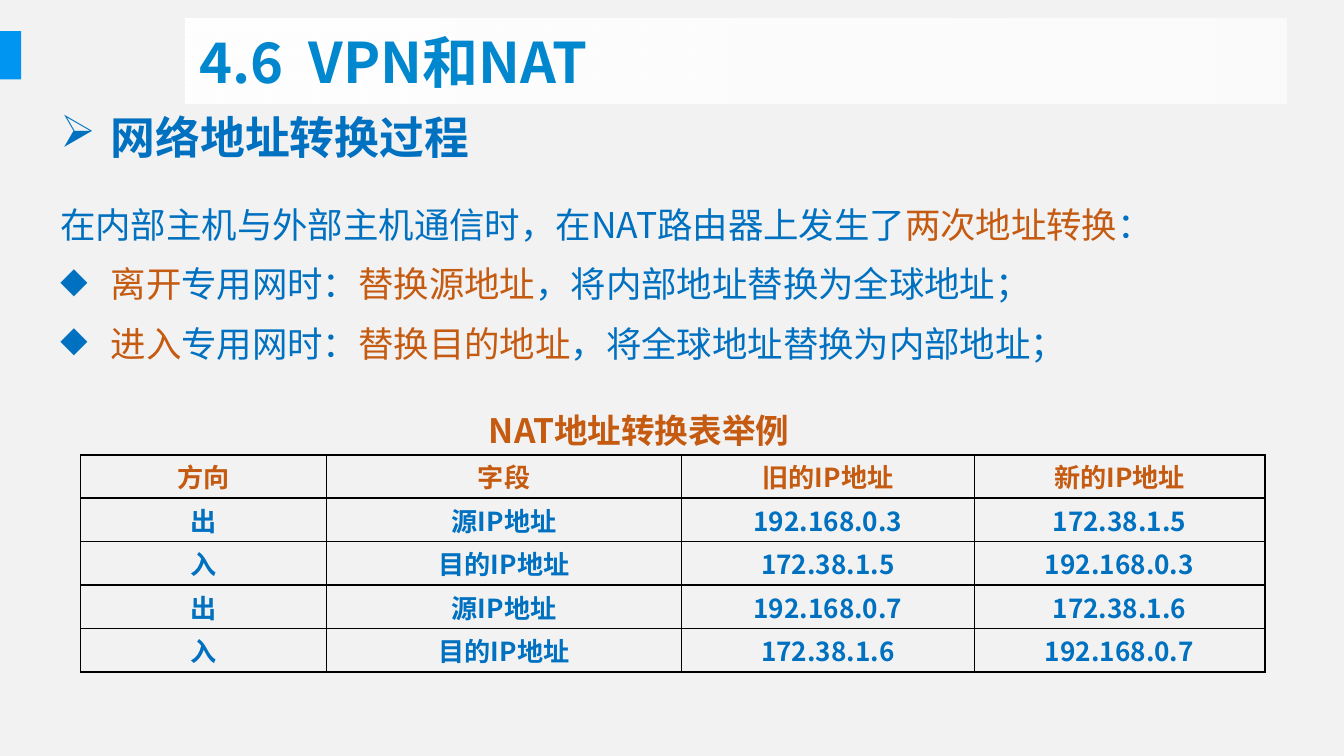
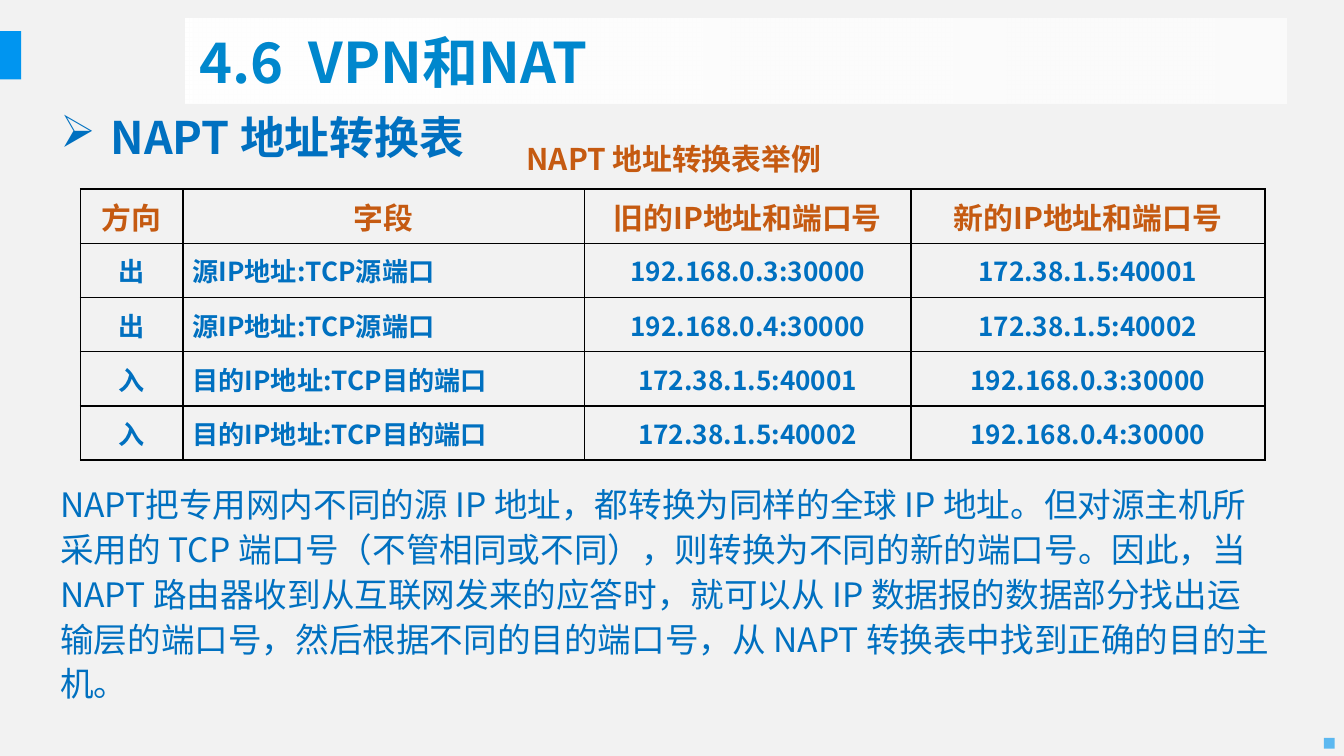
"""Build two slides on NAT and NAPT address translation tables."""
from dataclasses import dataclass
from typing import NamedTuple

import pptx
import pptx.dml.color
import pptx.enum.shapes
import pptx.enum.text
import pptx.oxml
import pptx.oxml.ns
import pptx.slide
import pptx.text.text
import pptx.util
from pptx.util import Pt

Align = pptx.enum.text.PP_ALIGN
AutoSize = pptx.enum.text.MSO_AUTO_SIZE
Anchor = pptx.enum.text.MSO_ANCHOR


@dataclass(frozen=True)
class Theme:
    """Colours, font and type sizes in points."""
    font: str = "Noto Sans CJK SC"
    background: str = "F2F2F2"
    band: str = "0095F0"
    title: str = "0087CD"
    text: str = "0070C0"
    accent: str = "C55A11"
    white: str = "FFFFFF"
    border: str = "000000"
    title_size: int = 30
    heading_size: int = 24
    points_size: int = 19
    body_size: int = 18
    cell_size: int = 14
    indent: float = 27


THEME = Theme()


class Box(NamedTuple):
    """Left, top, width and height in points."""
    left: float
    top: float
    width: float
    height: float


class Run(NamedTuple):
    """A piece of text in one colour."""
    text: str
    color: str = THEME.text


@dataclass(frozen=True)
class Line:
    """A paragraph with its style."""
    runs: tuple[Run, ...]
    size: float
    bold: bool = False
    bullet: str = ""
    spacing: float | None = None
    align: Align = Align.LEFT


@dataclass(frozen=True)
class AddressTable:
    """A translation table with its caption and layout."""
    caption: str
    caption_box: Box
    caption_size: float
    top: float
    columns: tuple[float, ...]
    row_height: float
    header_size: float
    field_align: Align
    rows: tuple[tuple[str, ...], ...]


NAT_TABLE = AddressTable(
    "NAT地址转换表举例", Box(252, 216, 180.7, 29), 18,
    243.6, (131.8, 190.1, 157, 155.5), 23.3, 14, Align.CENTER,
    (("方向", "字段", "旧的IP地址", "新的IP地址"),
     ("出", "源IP地址", "192.168.0.3", "172.38.1.5"),
     ("入", "目的IP地址", "172.38.1.5", "192.168.0.3"),
     ("出", "源IP地址", "192.168.0.7", "172.38.1.6"),
     ("入", "目的IP地址", "172.38.1.6", "192.168.0.7")))

NAPT_TABLE = AddressTable(
    "NAPT 地址转换表举例", Box(271.4, 72, 179.3, 26.6), 16,
    101.4, (54.7, 215.3, 175, 189.4), 29, 16, Align.JUSTIFY,
    (("方向", "字段", "旧的IP地址和端口号", "新的IP地址和端口号"),
     ("出", "源IP地址:TCP源端口", "192.168.0.3:30000", "172.38.1.5:40001"),
     ("出", "源IP地址:TCP源端口", "192.168.0.4:30000", "172.38.1.5:40002"),
     ("入", "目的IP地址:TCP目的端口", "172.38.1.5:40001", "192.168.0.3:30000"),
     ("入", "目的IP地址:TCP目的端口", "172.38.1.5:40002", "192.168.0.4:30000")))

NAT_POINTS = (
    ("", (Run("在内部主机与外部主机通信时，在NAT路由器上发生了"),
          Run("两次地址转换", THEME.accent), Run("："))),
    ("◆", (Run("离开", THEME.accent), Run("专用网时："),
           Run("替换源地址", THEME.accent), Run("，将内部地址替换为全球地址；"))),
    ("◆", (Run("进入", THEME.accent), Run("专用网时："),
           Run("替换目的地址", THEME.accent), Run("，将全球地址替换为内部地址；"))),
)

NAPT_TEXT = (
    "NAPT把专用网内不同的源 IP 地址，都转换为同样的全球 IP 地址。"
    "但对源主机所采用的 TCP 端口号（不管相同或不同），则转换为不同的新的端口号。"
    "因此，当 NAPT 路由器收到从互联网发来的应答时，"
    "就可以从 IP 数据报的数据部分找出运输层的端口号，"
    "然后根据不同的目的端口号，从 NAPT 转换表中找到正确的目的主机。")


def rgb(color: str) -> pptx.dml.color.RGBColor:
    """Turn a hex string into a colour."""
    return pptx.dml.color.RGBColor.from_string(color)


def add_xml(parent, tag: str, content: str = "", **attributes: str) -> None:
    """Append a drawing element to a parent."""
    listed = "".join(f' {name}="{value}"' for name, value in attributes.items())
    namespace = pptx.oxml.ns.nsdecls("a")
    parent.append(pptx.oxml.parse_xml(
        f"<a:{tag} {namespace}{listed}>{content}</a:{tag}>"))


def set_alpha(shape, percent: int) -> None:
    """Make the last fill colour of a shape translucent."""
    colors = list(shape._element.spPr.iter(pptx.oxml.ns.qn("a:srgbClr")))
    add_xml(colors[-1], "alpha", val=str(percent * 1000))


def place(shape, box: Box) -> None:
    """Move and size a shape."""
    shape.left, shape.top, shape.width, shape.height = map(Pt, box)


def write_paragraph(paragraph: pptx.text.text._Paragraph, line: Line) -> None:
    """Fill a paragraph and style it."""
    properties = paragraph._p.get_or_add_pPr()
    if line.bullet:
        properties.set("marL", str(Pt(THEME.indent)))
        properties.set("indent", str(-Pt(THEME.indent)))
        add_xml(properties, "buClr", f'<a:srgbClr val="{THEME.text}"/>')
        add_xml(properties, "buChar", char=line.bullet)
    paragraph.alignment = line.align
    if line.spacing:
        paragraph.line_spacing = Pt(line.spacing)
    font = paragraph.font
    font.name, font.size, font.bold = THEME.font, Pt(line.size), line.bold
    same_color = len({run.color for run in line.runs}) == 1
    if same_color:
        font.color.rgb = rgb(line.runs[0].color)
    add_xml(font._element, "ea", typeface=THEME.font)
    for piece in line.runs:
        run = paragraph.add_run()
        run.text = piece.text
        if not same_color:
            run.font.color.rgb = rgb(piece.color)


def add_text(slide: pptx.slide.Slide, box: Box, *lines: Line, wrap: bool = True) -> None:
    """Add a text box that grows with its lines."""
    frame = slide.shapes.add_textbox(*map(Pt, box)).text_frame
    frame.word_wrap = wrap
    frame.auto_size = AutoSize.SHAPE_TO_FIT_TEXT
    for index, line in enumerate(lines):
        write_paragraph(frame.add_paragraph() if index else frame.paragraphs[0], line)


def add_block(slide: pptx.slide.Slide, box: Box):
    """Add a plain rectangle in the band colour."""
    shape = slide.shapes.add_shape(
        pptx.enum.shapes.MSO_SHAPE.RECTANGLE, *map(Pt, box))
    shape.shadow.inherit = False
    shape.fill.solid()
    shape.fill.fore_color.rgb = rgb(THEME.band)
    shape.line.fill.background()
    return shape


def add_slide(presentation, heading: str) -> pptx.slide.Slide:
    """Add a slide with the shared title and its own heading."""
    slide = presentation.slides.add_slide(presentation.slide_layouts[5])
    title = slide.shapes.title
    place(title, Box(99.4, 9.8, 589.7, 45.4))
    title.fill.gradient()
    title.fill.gradient_angle = 0
    for stop in title.fill.gradient_stops:
        stop.color.rgb = rgb(THEME.white)
    set_alpha(title, 67)
    title.text_frame.auto_size = AutoSize.NONE
    title.text_frame.vertical_anchor = Anchor.MIDDLE
    write_paragraph(title.text_frame.paragraphs[0], Line(
        (Run("4.6  VPN和NAT", THEME.title),), THEME.title_size, bold=True))
    add_text(slide, Box(25.2, 55.4, 663, 36),
             Line((Run(heading),), THEME.heading_size, bold=True, bullet="➢"))
    return slide


def add_address_table(slide: pptx.slide.Slide, content: AddressTable) -> None:
    """Add a bordered table and the caption above it."""
    add_text(slide, content.caption_box, Line(
        (Run(content.caption, THEME.accent),), content.caption_size,
        bold=True, align=Align.CENTER), wrap=False)
    count = len(content.rows)
    table = slide.shapes.add_table(
        count, len(content.columns), Pt(43.2), Pt(content.top),
        Pt(sum(content.columns)), Pt(content.row_height * count)).table
    table.first_row = table.horz_banding = False
    for column, width in zip(table.columns, content.columns):
        column.width = Pt(width)
    for row_index, texts in enumerate(content.rows):
        table.rows[row_index].height = Pt(content.row_height)
        header = row_index == 0
        for column_index, text in enumerate(texts):
            cell = table.cell(row_index, column_index)
            cell.margin_left = cell.margin_right = Pt(5.2)
            cell.margin_top = cell.margin_bottom = Pt(0)
            cell.vertical_anchor = Anchor.MIDDLE
            for side in ("lnL", "lnR", "lnT", "lnB"):
                add_xml(cell._tc.get_or_add_tcPr(), side,
                        f'<a:solidFill><a:srgbClr val="{THEME.border}"/></a:solidFill>',
                        w=str(Pt(1)))
            cell.fill.background()
            is_field = column_index == 1 and not header
            write_paragraph(cell.text_frame.paragraphs[0], Line(
                (Run(text, THEME.accent if header else THEME.text),),
                content.header_size if header else THEME.cell_size, bold=True,
                align=content.field_align if is_field else Align.CENTER))


def main() -> None:
    """Build and save the presentation."""
    presentation = pptx.Presentation()
    presentation.slide_width, presentation.slide_height = Pt(720), Pt(405)
    master = presentation.slide_master
    master.background.fill.solid()
    master.background.fill.fore_color.rgb = rgb(THEME.background)

    nat = add_slide(presentation, "网络地址转换过程")
    band = add_block(nat, Box(-0.7, 16.6, 12, 26))
    master.shapes._spTree.append(band._element)
    add_text(nat, Box(25.2, 95.8, 634.3, 104.4), *(
        Line(runs, THEME.points_size, bullet=bullet, spacing=32)
        for bullet, runs in NAT_POINTS))
    add_address_table(nat, NAT_TABLE)

    napt = add_slide(presentation, "NAPT 地址转换表")
    add_address_table(napt, NAPT_TABLE)
    add_text(napt, Box(25.2, 253.4, 663, 126.7),
             Line((Run(NAPT_TEXT),), THEME.body_size, spacing=24))
    set_alpha(add_block(napt, Box(709.2, 395.3, 5.8, 5.8)), 62)

    presentation.save("out.pptx")


if __name__ == "__main__":
    main()
